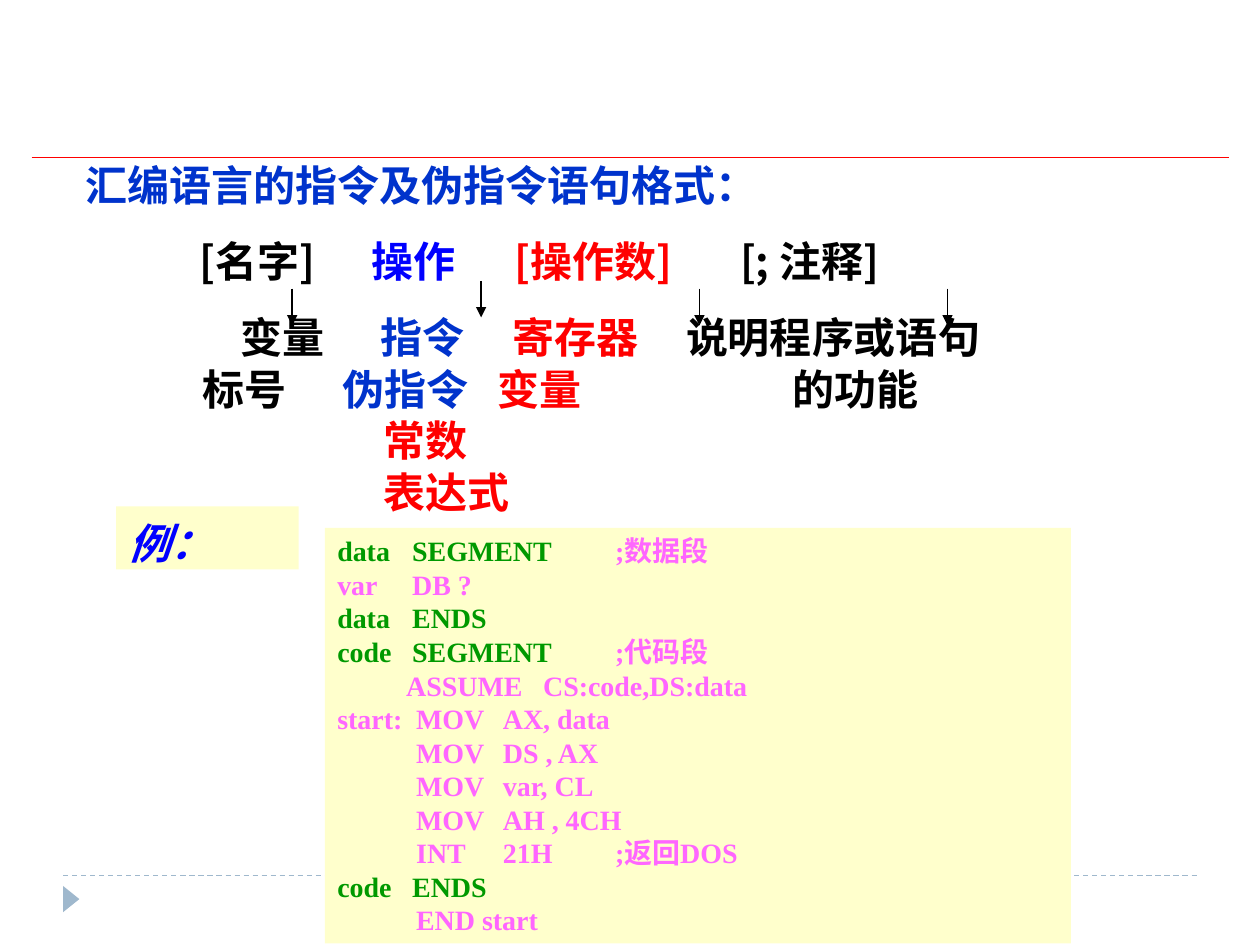
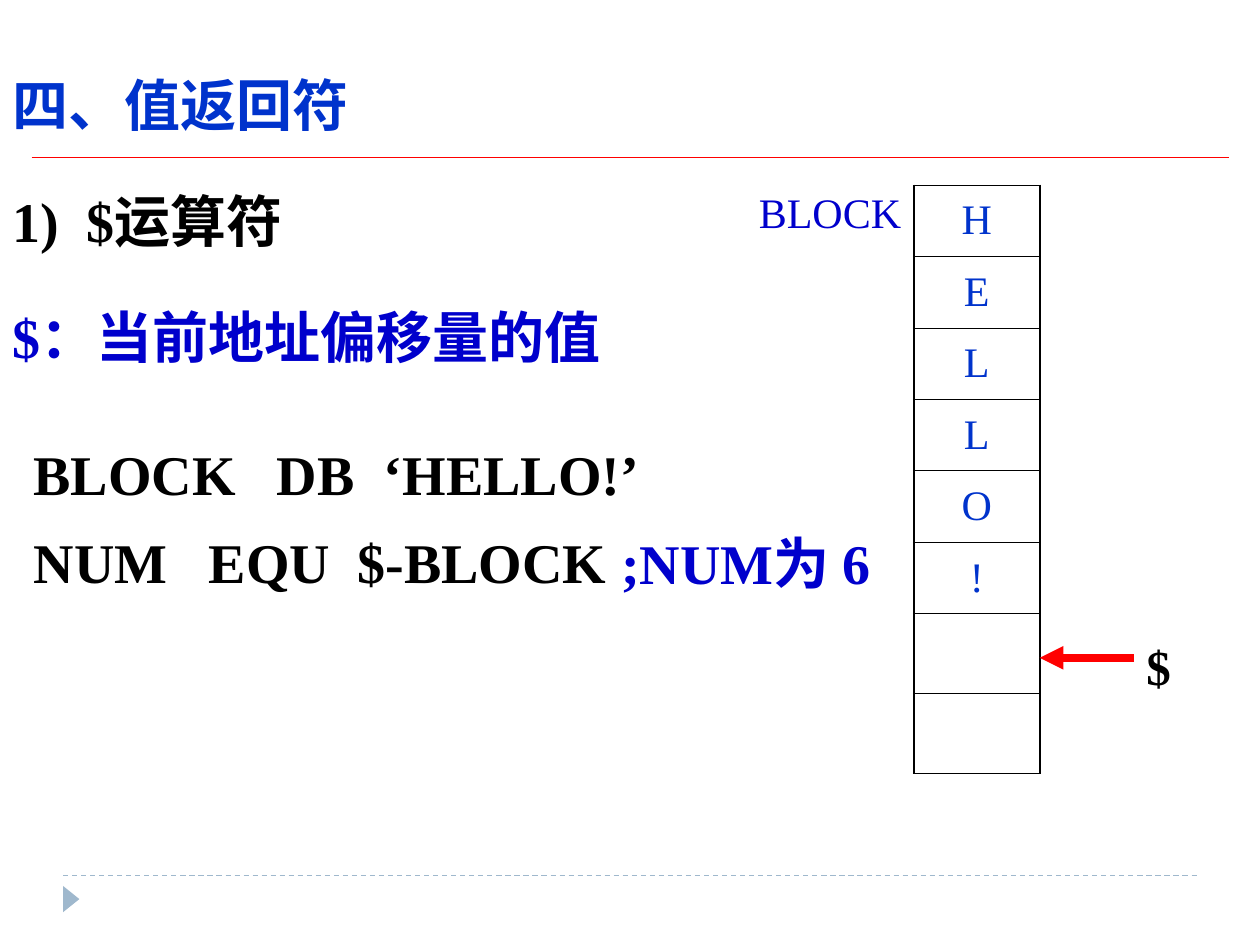
from lxml import etree
from pptx import Presentation
from pptx.dml.color import RGBColor
from pptx.enum.dml import MSO_LINE
from pptx.enum.shapes import MSO_CONNECTOR, MSO_SHAPE
from pptx.enum.text import MSO_ANCHOR as ANCHOR, PP_ALIGN as ALIGN
from pptx.oxml import parse_xml
from pptx.oxml.ns import nsdecls, qn
from pptx.util import Cm, Pt

BLACK = RGBColor(0x00, 0x00, 0x00)
RED = RGBColor(0xFF, 0x00, 0x00)
BLUE = RGBColor(0x00, 0x00, 0xFF)
HEAD_BLUE = RGBColor(0x00, 0x33, 0xCC)
DEEP_BLUE = RGBColor(0x00, 0x00, 0xCC)
GREEN = RGBColor(0x00, 0x99, 0x00)
PINK = RGBColor(0xFF, 0x66, 0xFF)
CREAM = RGBColor(0xFF, 0xFF, 0xCC)
MIST = RGBColor(0x9F, 0xB8, 0xCD)
SERIF, SANS = "Times New Roman", "Noto Sans CJK SC"


def add_text(s, at, paras, size, leading, before=0, font=SERIF, italic=False, fill=None):
    """Add bold text; paras holds (tab stops in cm, [(text, colour), ...]), leading is in points."""
    at = [Cm(v) for v in at]
    if fill is None:
        sp = s.shapes.add_textbox(*at)
    else:
        sp = s.shapes.add_shape(MSO_SHAPE.RECTANGLE, *at)
        sp.shadow.inherit = False
        sp.fill.solid()
        sp.fill.fore_color.rgb = fill
        sp.line.fill.background()
    tf = sp.text_frame
    tf.word_wrap = True
    tf.vertical_anchor = ANCHOR.TOP
    for i, (stops, runs) in enumerate(paras):
        p = tf.paragraphs[0] if i == 0 else tf.add_paragraph()
        p.alignment = ALIGN.LEFT
        p.line_spacing = Pt(leading)
        p.space_before = Pt(before if i else 0)
        if stops:
            tabs = etree.SubElement(p._p.get_or_add_pPr(), qn("a:tabLst"))
            for stop in stops:
                etree.SubElement(tabs, qn("a:tab"), pos=str(Cm(stop)), algn="l")
        for text, color in runs:
            r = p.add_run()
            r.text = text
            fmt = {"name": font, "size": Pt(size), "bold": True, "italic": italic}
            for key, value in fmt.items():
                setattr(r.font, key, value)
            r.font.color.rgb = color
            etree.SubElement(r._r.get_or_add_rPr(), qn("a:ea"), typeface=SANS)
    return sp


def add_line(s, x1, y1, x2, y2, color, width, arrow=False):
    ln = s.shapes.add_connector(MSO_CONNECTOR.STRAIGHT, Cm(x1), Cm(y1), Cm(x2), Cm(y2))
    ln.line.color.rgb = color
    ln.line.width = Pt(width)
    if arrow:
        etree.SubElement(ln.line._get_or_add_ln(), qn("a:tailEnd"), type="triangle")
    etree.SubElement(ln._element.spPr, qn("a:effectLst"))
    return ln


prs = Presentation()
prs.slide_width, prs.slide_height = Cm(25.4), Cm(19.05)

# Shared rules and footer marker
slides = [prs.slides.add_slide(prs.slide_layouts[6]) for _ in range(2)]
for s in slides:
    footer = add_line(s, 1.27, 17.65, 24.13, 17.65, MIST, 0.75)
    footer.line.dash_style = MSO_LINE.DASH
    marker = s.shapes.add_shape(MSO_SHAPE.ISOSCELES_TRIANGLE, Cm(1.17), Cm(17.96), Cm(0.53), Cm(0.33))
    marker.rotation = 90
    marker.shadow.inherit = False
    marker.fill.solid()
    marker.fill.fore_color.rgb = MIST
    marker.line.fill.background()
    add_line(s, 0.64, 3.18, 24.77, 3.18, RED, 0.75)

# Slide 1: statement format
s = slides[0]
fields = add_text(s, (3.05, 1.32, 19.25, 4.5), [
    ((0.73, 4.2, 7.08, 11.62), [("\t[名字]", BLACK), ("\t操作", BLUE),
                               ("\t[操作数]", RED), ("\t[; 注释]", BLACK)]),
], 24, 30, font=SANS)
fields.text_frame.vertical_anchor = ANCHOR.BOTTOM
fields.text_frame.margin_bottom = Cm(0.05)

# Each code line: colour, code, colour of the comment, comment
SEGMENT, PLAIN, ASSUME = (1.51, 5.6), (1.59, 3.34, 5.6), (1.39, 4.15)
code = [
    (SEGMENT, [("data\tSEGMENT\t", GREEN), (";数据段", PINK)]),
    (SEGMENT, [("var\tDB ?", PINK)]),
    (SEGMENT, [("data\tENDS", GREEN)]),
    (SEGMENT, [("code\tSEGMENT\t", GREEN), (";代码段", PINK)]),
    (ASSUME, [("\tASSUME\tCS:code,DS:data", PINK)]),
    (PLAIN, [("start:\tMOV\tAX, data", PINK)]),
    (PLAIN, [("\tMOV\tDS , AX", PINK)]),
    (PLAIN, [("\tMOV\tvar, CL", PINK)]),
    (PLAIN, [("\tMOV\tAH , 4CH", PINK)]),
    (PLAIN, [("\tINT\t21H\t;返回DOS", PINK)]),
    (SEGMENT, [("code\tENDS", GREEN)]),
    (PLAIN, [("\tEND start", PINK)]),
]
listing = add_text(s, (6.55, 10.64, 15.04, 8.38), code, 16, 19.17, fill=CREAM)
listing.text_frame.margin_right = 0
add_text(s, (2.34, 10.21, 3.68, 1.27), [((), [("例：", BLUE)])], 24, 31.4, italic=True, fill=CREAM)

add_text(s, (3.05, 6.13, 20.65, 4.5), [
    ((1.54, 4.38, 7.04, 10.53), [("\t变量", BLACK), ("\t指令", HEAD_BLUE),
                                ("\t寄存器", RED), ("\t说明程序或语句", BLACK)]),
    ((0.79, 3.61, 6.74, 12.67), [("\t标号", BLACK), ("\t伪指令", HEAD_BLUE),
                                ("\t变量", RED), ("\t的功能", BLACK)]),
    ((4.44,), [("\t常数", RED)]),
    ((4.44,), [("\t表达式", RED)]),
], 24, 29.5, font=SANS)
add_text(s, (1.47, 3, 15.44, 1.27), [((), [("汇编语言的指令及伪指令语句格式：", HEAD_BLUE)])], 24, 31.4)
for x, y in ((5.89, 5.82), (9.7, 5.66), (14.1, 5.82), (19.1, 5.82)):
    add_line(s, x, y, x, y + 0.74, BLACK, 1, arrow=True)

# Slide 2: the $ operator
s = slides[1]
add_text(s, (0, 0.91, 25.4, 6.55), [
    ((), [("四、值返回符", HEAD_BLUE)]),
    ((1.5,), [("1)\t$运算符", BLACK)]),
    ((), [("$：当前地址偏移量的值", DEEP_BLUE)]),
], 32, 49.5, before=16.8)
add_text(s, (0.43, 8.46, 14.17, 3.66), [
    ((4.9, 7.06), [("BLOCK\tDB\t‘HELLO!’", BLACK)]),
    ((3.53, 6.53), [("NUM\tEQU\t$-BLOCK", BLACK)]),
], 32, 46.3, before=4)

# Memory cells, then the column of labels beside them
memory = (18.42, 2.54, "HELLO!", HEAD_BLUE, ALIGN.CENTER, ANCHOR.MIDDLE, True)
labels = (13.97, 4.45, ["BLOCK"], DEEP_BLUE, ALIGN.RIGHT, ANCHOR.TOP, False)
heights = [1.44] * 6 + [1.61] * 2
for x, width, texts, color, align, anchor, ruled in (memory, labels):
    frame = s.shapes.add_table(len(heights), 1, Cm(x), Cm(3.73), Cm(width), Cm(sum(heights)))
    tbl = frame.table
    tbl.first_row = tbl.horz_banding = False
    for i, height in enumerate(heights):
        tbl.rows[i].height = Cm(height)
        cell = tbl.cell(i, 0)
        cell.vertical_anchor = anchor
        for side in "LRTB":
            thick = side in "LR" or (side == "B" and i == len(heights) - 1)
            paint = f'<a:solidFill><a:srgbClr val="{BLACK}"/></a:solidFill>' if ruled else "<a:noFill/>"
            cell._tc.get_or_add_tcPr().append(parse_xml(
                f'<a:ln{side} {nsdecls("a")} w="{Pt(1.08 if thick else 0.45)}">{paint}</a:ln{side}>'))
        cell.fill.background()
        if i < len(texts):
            p = cell.text_frame.paragraphs[0]
            p.alignment = align
            r = p.add_run()
            r.text = texts[i]
            for key, value in {"name": SERIF, "size": Pt(24), "bold": False}.items():
                setattr(r.font, key, value)
            r.font.color.rgb = color

dollar = add_text(s, (22.86, 12.42, 1.07, 1.68), [((), [("$", BLACK)])], 28, 42)
pointer = add_line(s, 22.86, 13.26, 20.96, 13.26, RED, 4.5, arrow=True)
pointer.begin_connect(dollar, 1)
add_text(s, (12.27, 10.16, 7.42, 1.88), [((), [(";NUM为 6", DEEP_BLUE)])], 32, 49)

prs.save("out.pptx")
